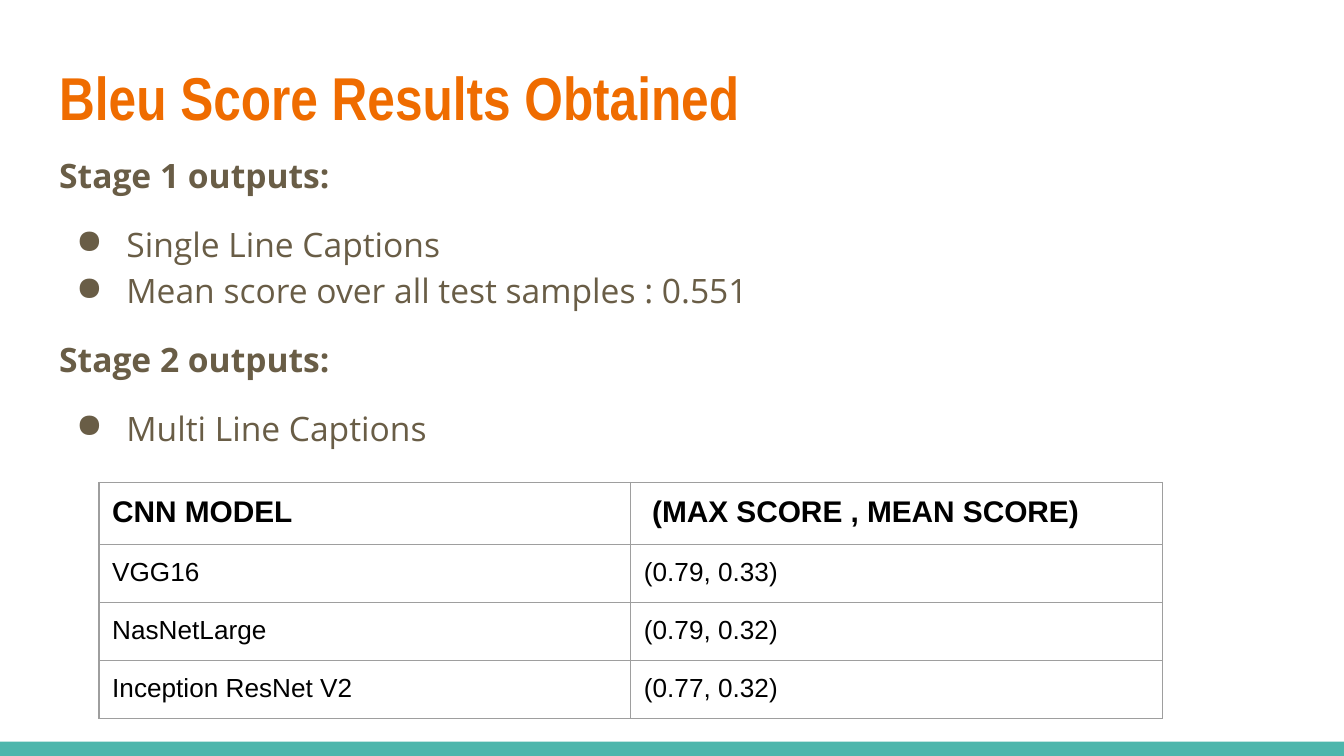
"""Build the slide of Bleu score results with its stage list and model table."""
import pptx
import pptx.chart
import pptx.dml.color
import pptx.enum.shapes
import pptx.enum.text
import pptx.oxml
import pptx.oxml.ns
import pptx.util
from dataclasses import dataclass

Cm = pptx.util.Cm
Pt = pptx.util.Pt

TITLE = "Bleu Score Results Obtained"
STAGES = [
    ("Stage 1 outputs:", ["Single Line Captions",
                          "Mean score over all test samples : 0.551"]),
    ("Stage 2 outputs:", ["Multi Line Captions"]),
]
SCORES = [
    ("CNN MODEL", " (MAX SCORE , MEAN SCORE)"),
    ("VGG16", "(0.79, 0.33)"),
    ("NasNetLarge", "(0.79, 0.32)"),
    ("Inception ResNet V2", "(0.77, 0.32)"),
]


@dataclass(frozen=True)
class Theme:
    accent: str = "EF6C00"
    body: str = "695D46"
    ink: str = "000000"
    rule: str = "9E9E9E"
    band: str = "4DB6AC"
    title_pt: float = 32.4
    body_pt: int = 18
    head_pt: int = 16
    cell_pt: int = 14
    rule_pt: float = 0.75


LOOK = Theme()
WIDE, HIGH = Cm(25.4), Cm(14.29)
LEFT, SPAN = Cm(0.87), Cm(23.67)
PAD = Cm(0.25)
BAND = Cm(0.27)


def color(code):
    return pptx.dml.color.RGBColor.from_string(code)


def style(par, face, size, code, bold):
    font = par.font
    font.name, font.size, font.bold = face, Pt(size), bold
    font.color.rgb = color(code)


def add_xml(node, text):
    space = pptx.oxml.ns.nsdecls("a")
    node.append(pptx.oxml.parse_xml(text.replace(" ", f" {space} ", 1)))


def pad(box):
    box.margin_left = box.margin_right = PAD
    box.margin_top = box.margin_bottom = PAD


def add_box(slide, top, height):
    frame = slide.shapes.add_textbox(LEFT, top, SPAN, height).text_frame
    frame.word_wrap = True
    pad(frame)
    return frame


def add_bullet(par):
    props = par._p.get_or_add_pPr()
    props.set("marL", str(Cm(1.27)))
    props.set("indent", str(-Cm(0.95)))
    add_xml(props, f'<a:buClr ><a:srgbClr val="{LOOK.body}"/></a:buClr>')
    add_xml(props, '<a:buChar char="●"/>')


def add_stages(slide):
    frame = add_box(slide, Cm(2.57), Cm(9.17))
    lines = [(text, place) for head, items in STAGES
             for place, text in enumerate([head, *items])]
    for index, (text, place) in enumerate(lines):
        par = frame.add_paragraph() if index else frame.paragraphs[0]
        par.text = text
        par.line_spacing = 1.15
        par.space_before = Pt(12 if index and place < 2 else 0)
        if place:
            add_bullet(par)
        style(par, "Open Sans", LOOK.body_pt, LOOK.body, not place)


def add_rules(cell):
    props = cell._tc.get_or_add_tcPr()
    for side in "LRTB":
        add_xml(props, f'<a:ln{side} w="{Pt(LOOK.rule_pt)}"><a:solidFill>'
                f'<a:srgbClr val="{LOOK.rule}"/></a:solidFill></a:ln{side}>')


def add_scores(slide):
    rows, cols = len(SCORES), len(SCORES[0])
    table = slide.shapes.add_table(rows, cols, Cm(1.87), Cm(9.12),
                                   Cm(20.1), Cm(1.06) * rows).table
    table.horz_banding = False
    for row, texts in enumerate(SCORES):
        for col, text in enumerate(texts):
            cell = table.cell(row, col)
            cell.text = text
            pad(cell)
            add_rules(cell)
            cell.fill.background()
            size = LOOK.cell_pt if row else LOOK.head_pt
            style(cell.text_frame.paragraphs[0], "Arial", size,
                  LOOK.ink, not row)


def main():
    deck = pptx.Presentation()
    deck.slide_width, deck.slide_height = WIDE, HIGH
    slide = deck.slides.add_slide(deck.slide_layouts[6])

    band = slide.shapes.add_shape(pptx.enum.shapes.MSO_SHAPE.RECTANGLE,
                                  0, HIGH - BAND, WIDE, BAND)
    band.shadow.inherit = False
    band.fill.solid()
    band.fill.fore_color.rgb = color(LOOK.band)
    band.line.fill.background()

    frame = add_box(slide, Cm(0.84), Cm(1.96))
    frame.vertical_anchor = pptx.enum.text.MSO_ANCHOR.MIDDLE
    frame.text = TITLE
    style(frame.paragraphs[0], "Arial Narrow", LOOK.title_pt,
          LOOK.accent, True)

    add_stages(slide)
    add_scores(slide)
    deck.save("out.pptx")


if __name__ == "__main__":
    main()
